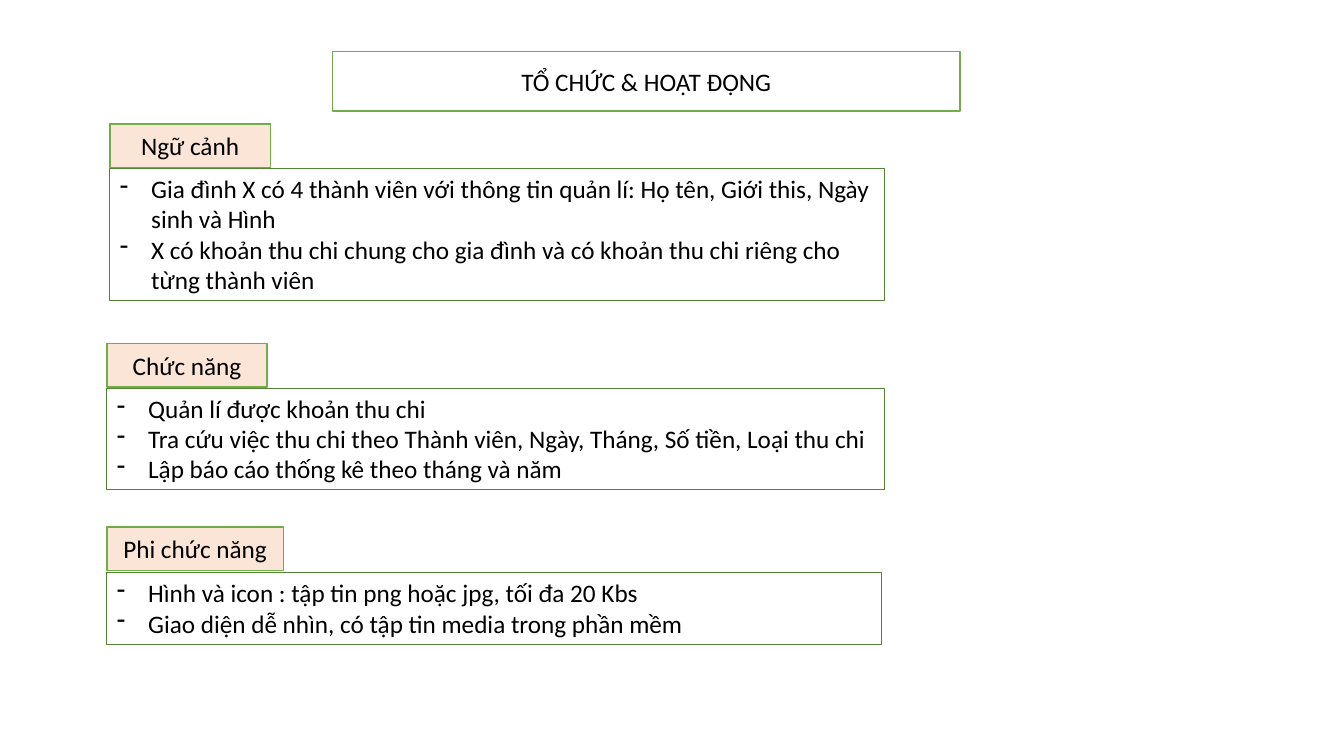
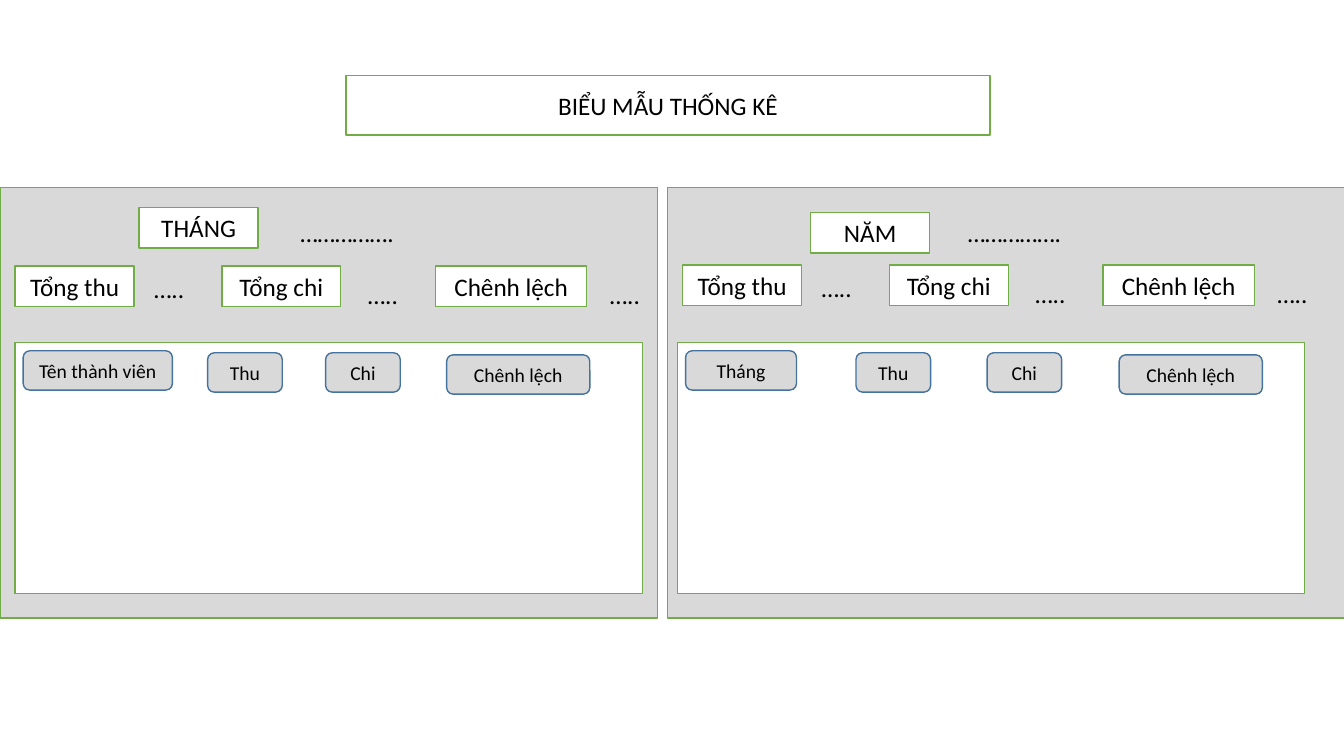
from lxml.etree import SubElement
from pptx import Presentation
from pptx.dml.color import RGBColor
from pptx.enum.shapes import MSO_SHAPE
from pptx.enum.text import MSO_ANCHOR, MSO_AUTO_SIZE, PP_ALIGN
from pptx.oxml import parse_xml
from pptx.oxml.ns import nsdecls, qn
from pptx.util import Inches, Pt

COLORS = {
    "black": "000000",
    "white": "FFFFFF",
    "green": "70AD47",
    "dark_green": "548235",
    "peach": "FBE5D6",
    "gray": "D9D9D9",
    "blue": "43739E",
}
FONT = "Calibri"
COMPARISON_LAYOUT = 3 + 1
TITLE_ONLY_LAYOUT = 5


def color(name):
    return RGBColor.from_string(COLORS[name])


def place(shape, box):
    shape.left, shape.top, shape.width, shape.height = map(Inches, box)


def style_box(shape, fill, line, line_width=1):
    if fill:
        shape.fill.solid()
        shape.fill.fore_color.rgb = color(fill)
    else:
        shape.fill.background()
    shape.line.color.rgb = color(line)
    shape.line.width = Pt(line_width)


def style_text(shape, size=18, align=PP_ALIGN.CENTER, anchor=MSO_ANCHOR.MIDDLE):
    frame = shape.text_frame
    frame.word_wrap = True
    frame.auto_size = MSO_AUTO_SIZE.NONE
    frame.vertical_anchor = anchor
    for paragraph in frame.paragraphs:
        paragraph.alignment = align
        paragraph.space_before = Pt(0)
        for run in paragraph.runs:
            run.font.name = FONT
            run.font.size = Pt(size)
            run.font.bold = False
            run.font.color.rgb = color("black")


def add_box(slide, box, text="", fill="white", line="green", size=18,
            kind=MSO_SHAPE.RECTANGLE):
    shape = slide.shapes.add_shape(kind, *map(Inches, box))
    shape.shadow.inherit = False
    style_box(shape, fill, line)
    if text:
        shape.text_frame.text = text
        style_text(shape, size)
    return shape


def add_dots(slide, box, text):
    shape = slide.shapes.add_textbox(*map(Inches, box))
    shape.text_frame.text = text
    style_text(shape, align=PP_ALIGN.LEFT, anchor=MSO_ANCHOR.TOP)


def set_title(slide, box, text, rounded=False):
    title = slide.shapes.title
    place(title, box)
    if rounded:
        geometry = parse_xml(
            f'<a:prstGeom {nsdecls("a")} prst="roundRect"><a:avLst/></a:prstGeom>')
        title.element.spPr.append(geometry)
    style_box(title, "white", "green")
    title.text_frame.text = text
    style_text(title)


def fill_list(placeholder, box, items):
    place(placeholder, box)
    style_box(placeholder, None, "dark_green", 0.75)
    placeholder.text_frame.text = "\n".join(items)
    style_text(placeholder, align=PP_ALIGN.LEFT, anchor=MSO_ANCHOR.TOP)
    for paragraph in placeholder.text_frame.paragraphs:
        properties = paragraph._p.get_or_add_pPr()
        properties.set("marL", str(Inches(0.31)))
        properties.set("indent", str(-Inches(0.31)))
        SubElement(properties, qn("a:buFontTx"))
        SubElement(properties, qn("a:buChar")).set("char", "-")


def add_section(slide, placeholder, box, label, label_width, label_top, items):
    fill_list(placeholder, box, items)
    add_box(slide, (box[0], label_top, label_width, 0.43), label, fill="peach")


def build_overview(presentation):
    slide = presentation.slides.add_slide(
        presentation.slide_layouts[COMPARISON_LAYOUT])
    set_title(slide, (3.3, 0.51, 6.22, 0.59), "TỔ CHỨC & HOẠT ĐỘNG", rounded=True)
    sections = [
        ((1.09, 1.67, 7.68, 1.31), "Ngữ cảnh", 1.59, 1.23, [
            "Gia đình X có 4 thành viên với thông tin quản lí: "
            "Họ tên, Giới this, Ngày sinh và Hình",
            "X có khoản thu chi chung cho gia đình và có khoản thu chi riêng "
            "cho từng thành viên",
        ]),
        ((1.06, 3.85, 7.71, 1.01), "Chức năng", 1.59, 3.41, [
            "Quản lí được khoản thu chi",
            "Tra cứu việc thu chi theo Thành viên, Ngày, Tháng, Số tiền, Loại thu chi",
            "Lập báo cáo thống kê theo tháng và năm",
        ]),
        ((1.06, 5.68, 7.68, 0.71), "Phi chức năng", 1.75, 5.23, [
            "Hình và icon : tập tin png hoặc jpg, tối đa 20 Kbs",
            "Giao diện dễ nhìn, có tập tin media trong phần mềm",
        ]),
    ]
    bodies = list(slide.placeholders)[1:]
    for placeholder, section in zip(bodies, sections):
        add_section(slide, placeholder, *section)
    for placeholder in bodies[len(sections):]:
        placeholder.element.getparent().remove(placeholder.element)


def add_totals(slide, left, top):
    totals = [
        ("Tổng thu", 0.15, 1.18, 1.43, 0.02),
        ("Tổng chi", 2.2, 1.18, 3.55, 0.08),
        ("Chênh lệch", 4.32, 1.5, 5.95, 0.08),
    ]
    for text, offset, width, dots_offset, dots_drop in totals:
        add_box(slide, (left + offset, top, width, 0.4), text)
        add_dots(slide, (left + dots_offset, top + dots_drop, 0.57, 0.4), "…..")


def add_member_grid(slide, left, top, columns):
    add_box(slide, (left, top, 6.22, 2.49))
    for (text, offset, width), drop in zip(columns, (0.08, 0.1, 0.1, 0.12)):
        add_box(slide, (left + offset, top + drop, width, 0.39), text,
                fill="gray", line="blue", size=14, kind=MSO_SHAPE.ROUNDED_RECTANGLE)


def add_report(slide, box, period, period_offset, totals_drop, grid_inset, columns):
    left, top = box[:2]
    add_box(slide, box, fill="gray")
    period_left, period_drop = period_offset
    add_box(slide, (left + period_left, top + period_drop, 1.18, 0.4), period)
    add_dots(slide, (left + 2.88, top + 0.25, 1.59, 0.4), "…………….")
    add_totals(slide, left, top + totals_drop)
    add_member_grid(slide, left + grid_inset, top + 1.54, columns)


def build_statistics(presentation):
    slide = presentation.slides.add_slide(
        presentation.slide_layouts[TITLE_ONLY_LAYOUT])
    set_title(slide, (3.43, 0.75, 6.39, 0.59), "BIỂU MẪU THỐNG KÊ")
    add_report(slide, (0, 1.86, 6.52, 4.27), "THÁNG", (1.38, 0.2), 0.78, 0.15, [
        ("Tên thành viên", 0.08, 1.48),
        ("Thu", 1.91, 0.74),
        ("Chi", 3.08, 0.74),
        ("Chênh lệch", 4.28, 1.42),
    ])
    add_report(slide, (6.62, 1.86, 6.72, 4.27), "NĂM", (1.42, 0.25), 0.77, 0.1, [
        ("Tháng", 0.08, 1.1),
        ("Thu", 1.77, 0.74),
        ("Chi", 3.07, 0.74),
        ("Chênh lệch", 4.38, 1.42),
    ])


def main():
    presentation = Presentation()
    presentation.slide_width = Inches(13.33)
    presentation.slide_height = Inches(7.5)
    build_overview(presentation)
    build_statistics(presentation)
    presentation.save("out.pptx")


if __name__ == "__main__":
    main()
